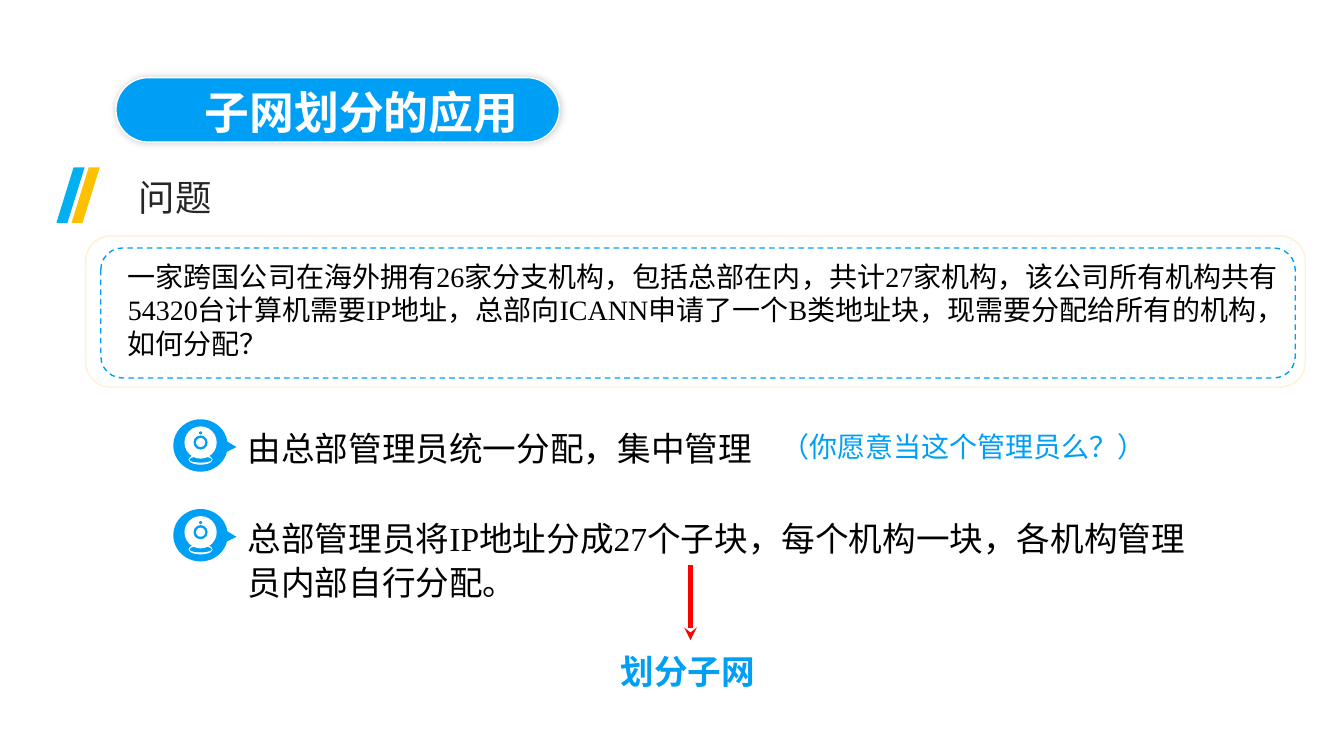
from lxml.etree import SubElement
from pptx import Presentation
from pptx.dml.color import RGBColor
from pptx.enum.dml import MSO_LINE
from pptx.enum.shapes import MSO_CONNECTOR, MSO_SHAPE
from pptx.enum.text import MSO_ANCHOR, PP_ALIGN
from pptx.oxml.ns import qn
from pptx.util import Emu, Pt

COLS, ROWS = 160, 90
WIDTH, HEIGHT = 12192000, 6858000
BLUE, WHITE, BLACK, RED = "009FF6", "FFFFFF", "000000", "FF0000"
SANS, SERIF = "Noto Sans CJK SC", "Times New Roman"


def grid(col, row, cols, rows):
    x, y = WIDTH / COLS, HEIGHT / ROWS
    return [Emu(round(v)) for v in (col * x, row * y, cols * x, rows * y)]


def paint(fmt, color):
    fmt.solid()
    fmt.fore_color.rgb = RGBColor.from_string(color)


def add_box(s, kind, at, fill=None, line=None, adj=(), dash=None):
    sp = s.shapes.add_shape(kind, *grid(*at))
    sp.shadow.inherit = False
    for i, value in enumerate(adj):
        sp.adjustments[i] = value
    if fill:
        paint(sp.fill, fill)
    else:
        sp.fill.background()
    if line:
        paint(sp.line.fill, line)
        sp.line.width = Pt(1)
        sp.line.dash_style = dash
    else:
        sp.line.fill.background()
    return sp


def write(sp, text, size, color, font=SANS, bold=False, spacing=1.0, before=0, wrap=True):
    tf = sp.text_frame
    tf.text = text
    tf.word_wrap = wrap
    tf.vertical_anchor = MSO_ANCHOR.TOP
    p = tf.paragraphs[0]
    p.alignment = PP_ALIGN.LEFT
    p.line_spacing = spacing
    p.space_before = Pt(before)
    r = p.runs[0]
    r.font.size = Pt(size)
    r.font.bold = bold
    r.font.name = font
    paint(r.font.fill, color)
    SubElement(r.font._element, qn("a:ea"), typeface=SANS)


def add_text(s, at, text, size, color, **style):
    sp = s.shapes.add_textbox(*grid(*at))
    write(sp, text, size, color, **style)
    return sp


def add_glow(sp):
    effects = sp._element.spPr.find(qn("a:effectLst"))
    shadow = SubElement(effects, qn("a:outerShdw"), blurRad=str(Pt(5)), dist="0", dir="0")
    color = SubElement(shadow, qn("a:srgbClr"), val=BLACK)
    SubElement(color, qn("a:alpha"), val="20000")


def add_title(s, text):
    pill = add_box(s, MSO_SHAPE.ROUNDED_RECTANGLE, (13.8, 9.24, 52.8, 7.68), BLUE, WHITE, [0.5])
    add_glow(pill)
    title = s.shapes.title
    title.left, title.top, title.width, title.height = grid(23.16, 9.48, 41.64, 7.68)
    write(title, text, 32, WHITE, font="Noto Sans CJK JP", bold=True)
    pill._element.addnext(title._element)


def add_heading(s, text):
    for col, color in ((6.72, "00B0F0"), (8.52, "FFC000")):
        add_box(s, MSO_SHAPE.PARALLELOGRAM, (col, 19.92, 3.36, 6.6), color, adj=[0.61])
    add_text(s, (15.36, 20.28, 22.56, 6.48), text, 26, "262626")


def add_question(s, text):
    add_box(s, MSO_SHAPE.ROUNDED_RECTANGLE, (10.2, 28.08, 145.2, 18), WHITE, "FEF1D6")
    add_text(s, (14.04, 30.24, 140.04, 13.32), text, 20, BLACK, font=SERIF)
    add_box(s, MSO_SHAPE.ROUNDED_RECTANGLE, (12, 29.52, 142.2, 15.48),
            line=BLUE, dash=MSO_LINE.DASH)


def add_webcam(s, row):
    add_box(s, MSO_SHAPE.OVAL_CALLOUT, (20.64, row, 6.48, 6.24), BLUE, adj=[0.66, 0.03])
    center = 23.88
    for drop, cols, rows, color in (
        (4.8, 2.88, 1.2, WHITE),
        (4.8, 2.64, 0.72, BLUE),
        (2.76, 3.84, 3.84, WHITE),
        (2.76, 1.68, 1.68, BLUE),
        (2.76, 1.08, 1.08, WHITE),
        (1.62, 0.36, 0.36, BLUE),
    ):
        at = (center - cols / 2, row + drop - rows / 2, cols, rows)
        add_box(s, MSO_SHAPE.OVAL, at, color)


def add_option(s, row, cols, rows, text):
    add_webcam(s, row)
    add_text(s, (28.32, row, cols, rows), text, 24, BLACK, font=SERIF, spacing=1.1)


def add_arrow(s, col, top, bottom, target):
    c = s.shapes.add_connector(MSO_CONNECTOR.STRAIGHT, *grid(col, top, col, bottom))
    c.end_connect(target, 0)
    paint(c.line.fill, RED)
    c.line.width = Pt(3)
    SubElement(c.line._get_or_add_ln(), qn("a:tailEnd"), type="stealth")
    SubElement(c._element.spPr, qn("a:effectLst"))


def main():
    prs = Presentation()
    prs.slide_width, prs.slide_height = Emu(WIDTH), Emu(HEIGHT)
    s = prs.slides.add_slide(prs.slide_layouts[5])
    add_title(s, "子网划分的应用")
    add_heading(s, "问题")
    add_question(s, "一家跨国公司在海外拥有26家分支机构，包括总部在内，共计27家机构，"
                    "该公司所有机构共有54320台计算机需要IP地址，总部向ICANN申请了一个B类地址块，"
                    "现需要分配给所有的机构，如何分配？")
    add_option(s, 49.92, 70.56, 6.24, "由总部管理员统一分配，集中管理")
    add_option(s, 60.6, 115.32, 11.64,
               "总部管理员将IP地址分成27个子块，每个机构一块，各机构管理员内部自行分配。")
    add_text(s, (91.8, 49.92, 46.2, 5.64), "（你愿意当这个管理员么？）", 20, BLUE,
             spacing=1.15, before=4, wrap=False)
    answer = add_text(s, (72.72, 76.2, 18.96, 6.48), "划分子网", 24, BLUE,
                      bold=True, spacing=1.15, before=4.8, wrap=False)
    add_arrow(s, 82.2, 67.32, 76.2, answer)
    prs.save("out.pptx")


if __name__ == "__main__":
    main()
